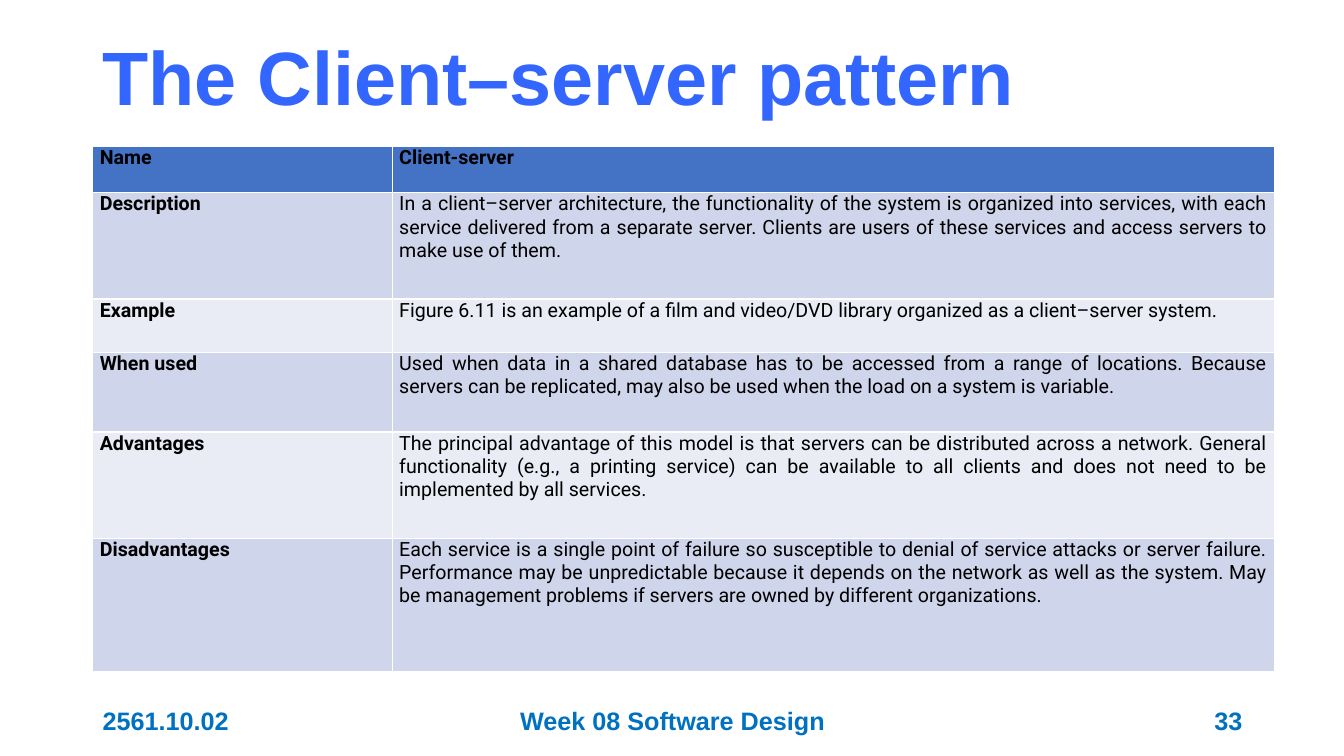
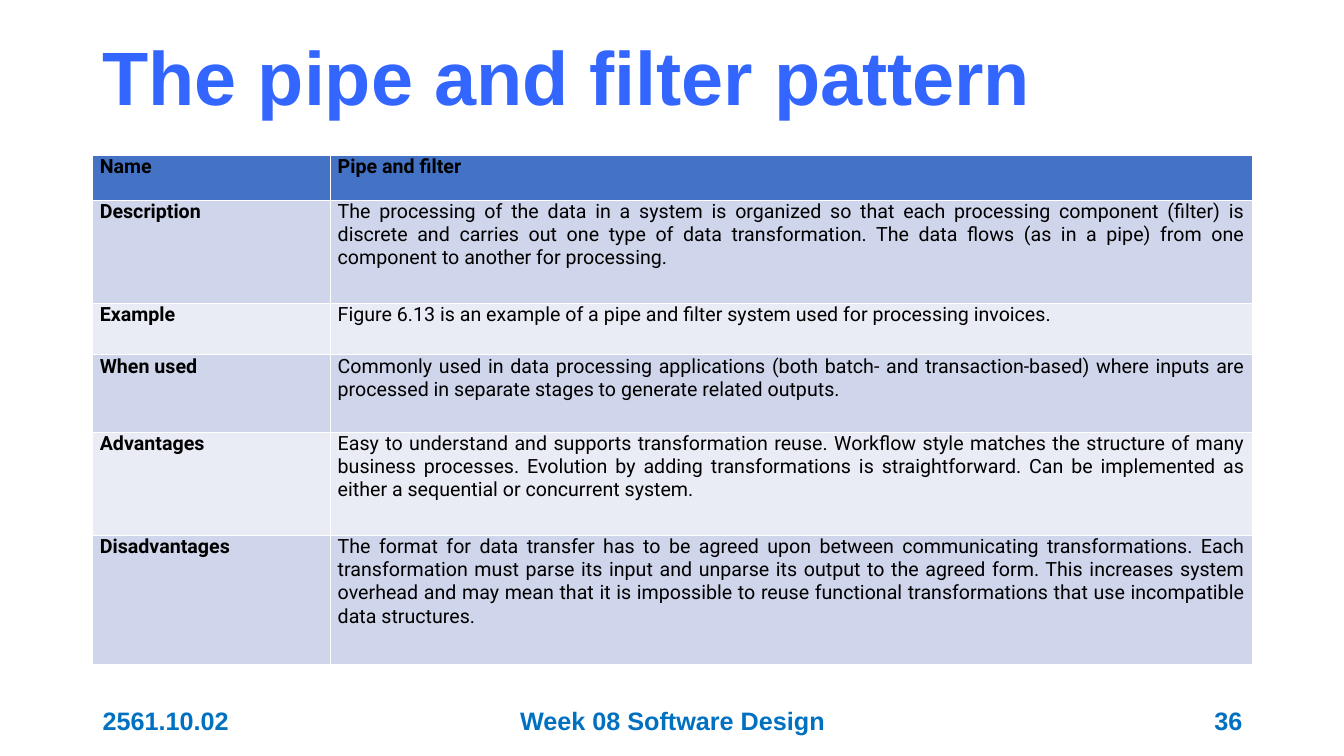
from dataclasses import dataclass

from pptx import Presentation
from pptx.dml.color import RGBColor
from pptx.enum.text import MSO_ANCHOR, PP_ALIGN
from pptx.util import Pt

EMU_PER_PX = 9144  # 100 px to the inch


@dataclass(frozen=True)
class Theme:
    title_color: RGBColor = RGBColor(0x33, 0x66, 0xFF)
    footer_color: RGBColor = RGBColor(0x00, 0x70, 0xC0)
    cell_text_color: RGBColor = RGBColor(0x00, 0x00, 0x00)
    header_fill: RGBColor = RGBColor(0x44, 0x72, 0xC4)
    band_fills: tuple = (RGBColor(0xCF, 0xD5, 0xEA), RGBColor(0xE9, 0xEB, 0xF5))
    heading_font: str = "Arial"
    table_font: str = "Roboto"
    title_size: int = 54
    footer_size: int = 18
    table_size: int = 14


@dataclass(frozen=True)
class PatternSlide:
    title: str
    number: int
    table_box: tuple
    label_width: int
    entries: tuple


THEME = Theme()
SLIDE_SIZE = (1333, 750)
TITLE_BOX = (92, 26, 1150, 109)
FOOTER_TOP, FOOTER_HEIGHT = 695, 40
CELL_MARGIN = 7
ROW_LABELS = ("Name", "Description", "Example", "When used", "Advantages", "Disadvantages")
ROW_WEIGHTS = (7, 16, 8, 12, 16, 20)

PATTERN_SLIDES = (
    PatternSlide(
        title="The Client–server pattern",
        number=33,
        table_box=(92, 145, 1172, 521),
        label_width=297,
        entries=(
            "Client-server",
            "In a client–server architecture, the functionality of the system is organized into "
            "services, with each service delivered from a separate server. Clients are users of "
            "these services and access servers to make use of them.",
            "Figure 6.11 is an example of a film and video/DVD library organized as a "
            "client–server system.",
            "Used when data in a shared database has to be accessed from a range of locations. "
            "Because servers can be replicated, may also be used when the load on a system is "
            "variable.",
            "The principal advantage of this model is that servers can be distributed across a "
            "network. General functionality (e.g., a printing service) can be available to all "
            "clients and does not need to be implemented by all services.",
            "Each service is a single point of failure so susceptible to denial of service "
            "attacks or server failure. Performance may be unpredictable because it depends on "
            "the network as well as the system. May be management problems if servers are owned "
            "by different organizations.",
        ),
    ),
    PatternSlide(
        title="The pipe and filter pattern",
        number=36,
        table_box=(92, 154, 1150, 505),
        label_width=236,
        entries=(
            "Pipe and filter",
            "The processing of the data in a system is organized so that each processing "
            "component (filter) is discrete and carries out one type of data transformation. The "
            "data flows (as in a pipe) from one component to another for processing.",
            "Figure 6.13 is an example of a pipe and filter system used for processing invoices.",
            "Commonly used in data processing applications (both batch- and transaction-based) "
            "where inputs are processed in separate stages to generate related outputs.",
            "Easy to understand and supports transformation reuse. Workflow style matches the "
            "structure of many business processes. Evolution by adding transformations is "
            "straightforward. Can be implemented as either a sequential or concurrent system.",
            "The format for data transfer has to be agreed upon between communicating "
            "transformations. Each transformation must parse its input and unparse its output to "
            "the agreed form. This increases system overhead and may mean that it is impossible "
            "to reuse functional transformations that use incompatible data structures.",
        ),
    ),
)


def px(length):
    return round(length * EMU_PER_PX)


def style_paragraph(paragraph, font_name, size, color, bold, alignment):
    paragraph.alignment = alignment
    font = paragraph.font
    font.name = font_name
    font.size = Pt(size)
    font.color.rgb = color
    font.bold = bold


def add_heading_text(slide, box, text, size, color, alignment=PP_ALIGN.LEFT):
    """Add a bold, vertically centred line and return its paragraph."""
    frame = slide.shapes.add_textbox(*map(px, box)).text_frame
    frame.word_wrap = True
    frame.vertical_anchor = MSO_ANCHOR.MIDDLE
    paragraph = frame.paragraphs[0]
    paragraph.text = text
    style_paragraph(paragraph, THEME.heading_font, size, color, True, alignment)
    return paragraph


def add_title(slide, text):
    paragraph = add_heading_text(slide, TITLE_BOX, text, THEME.title_size, THEME.title_color)
    paragraph.line_spacing = 0.9


def add_footer(slide, number):
    footer_parts = (
        (92, 300, "2561.10.02", PP_ALIGN.LEFT),
        (442, 450, "Week 08 Software Design", PP_ALIGN.CENTER),
        (942, 300, str(number), PP_ALIGN.RIGHT),
    )
    for left, width, text, alignment in footer_parts:
        box = (left, FOOTER_TOP, width, FOOTER_HEIGHT)
        add_heading_text(slide, box, text, THEME.footer_size, THEME.footer_color, alignment)


def fill_cell(cell, text, fill_color, bold):
    cell.margin_left = cell.margin_right = px(CELL_MARGIN)
    cell.margin_top = cell.margin_bottom = 0
    cell.fill.solid()
    cell.fill.fore_color.rgb = fill_color
    paragraph = cell.text_frame.paragraphs[0]
    paragraph.text = text
    style_paragraph(paragraph, THEME.table_font, THEME.table_size, THEME.cell_text_color,
                    bold, PP_ALIGN.JUSTIFY)


def add_pattern_table(slide, content):
    """Add the label and entry columns; the default table style draws the white rules."""
    width, height = content.table_box[2:]
    table = slide.shapes.add_table(len(ROW_LABELS), 2, *map(px, content.table_box)).table
    table.columns[0].width = px(content.label_width)
    table.columns[1].width = px(width - content.label_width)
    for index, (label, entry) in enumerate(zip(ROW_LABELS, content.entries)):
        is_header = index == 0
        table.rows[index].height = px(height * ROW_WEIGHTS[index] / sum(ROW_WEIGHTS))
        fill_color = THEME.header_fill if is_header else THEME.band_fills[(index - 1) % 2]
        fill_cell(table.cell(index, 0), label, fill_color, True)
        fill_cell(table.cell(index, 1), entry, fill_color, is_header)


def main():
    presentation = Presentation()
    presentation.slide_width, presentation.slide_height = map(px, SLIDE_SIZE)
    blank_layout = presentation.slide_layouts[6]
    for content in PATTERN_SLIDES:
        slide = presentation.slides.add_slide(blank_layout)
        add_title(slide, content.title)
        add_footer(slide, content.number)
        add_pattern_table(slide, content)
    presentation.save("out.pptx")


if __name__ == "__main__":
    main()
